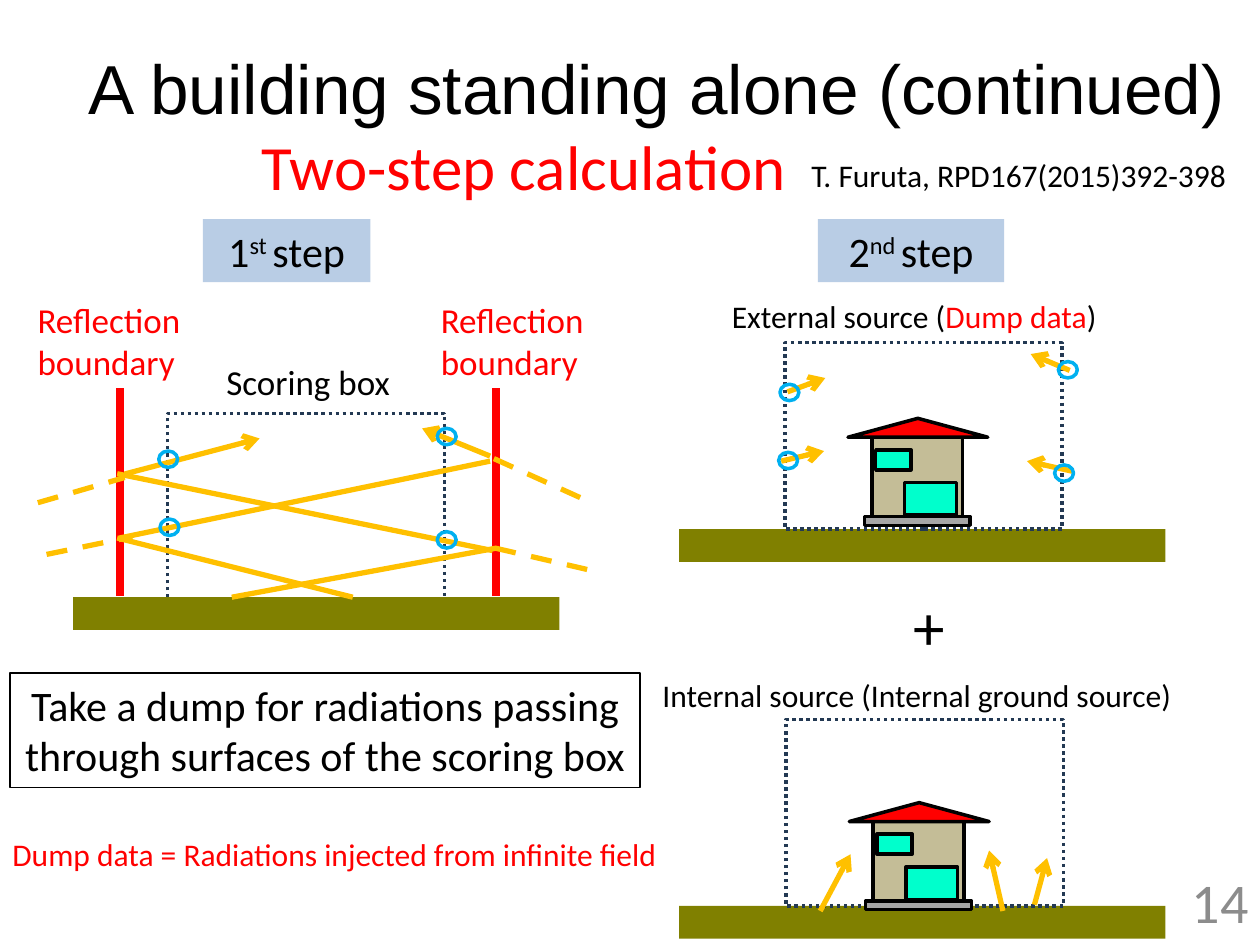
import pptx
import pptx.util
import pptx.dml.color
import pptx.enum.dml
import pptx.enum.shapes
import pptx.enum.text
import pptx.oxml

PX = 9144
SHAPE = pptx.enum.shapes.MSO_SHAPE
DASH = pptx.enum.dml.MSO_LINE
ALIGN = pptx.enum.text.PP_ALIGN
ANCHOR = pptx.enum.text.MSO_ANCHOR
NS = 'xmlns:a="http://schemas.openxmlformats.org/drawingml/2006/main"'

BLACK, RED, RAY, RING = "000000", "FF0000", "FFC000", "00B0F0"
SOIL, NAVY, PALE = "808000", "233953", "B9CDE5"

BOX_SIZE, GROUND_SIZE, RING_SIZE = (220, 148), (386, 26), (15, 13)
STEP1_BOX, STEP1_GROUND = (133, 328), (58, 474)
STEP2_SCENES = [
    {"ground": (539, 420), "box": (623, 272), "house": (673, 332)},
    {"ground": (539, 719), "box": (624, 571), "house": (674, 637)},
]
HOUSE = [
    (SHAPE.RECTANGLE, (19, 15, 72, 63), "C4BD97"),
    (SHAPE.ISOSCELES_TRIANGLE, (0, 0, 111, 15), RED),
    (SHAPE.RECTANGLE, (22, 25, 28, 16), "00FFCC"),
    (SHAPE.RECTANGLE, (45, 51, 41, 26), "00FFCC"),
    (SHAPE.RECTANGLE, (13, 78, 84, 7), "A6A6A6"),
]
BOUNDARIES = [(95, 308, 95, 473), (394, 308, 394, 473)]
STEP1_ARROWS = [(389, 362, 335, 340), (96, 377, 206, 348)]
STEP1_RAYS = [(184, 474, 394, 435), (93, 376, 391, 437), (93, 427, 280, 474), (95, 427, 389, 366)]
OUTER_RAYS = [(30, 399, 99, 379), (37, 440, 105, 426), (393, 435, 466, 452), (392, 364, 465, 397)]
STEP2_ARROWS = [
    (620, 366, 654, 358), (625, 311, 655, 300), (849, 294, 818, 281), (851, 374, 815, 366),
    (651, 723, 675, 678), (796, 723, 785, 675), (821, 718, 831, 681),
]
RINGS = [(347, 340), (126, 358), (347, 422), (127, 412),
         (840, 287), (619, 305), (837, 369), (618, 359)]

TEXTS = [
    {"at": (50, 6, 943, 125), "runs": [("A building standing alone (continued)", {})],
     "size": 39.6, "font": "Arial", "align": ALIGN.CENTER, "anchor": ANCHOR.MIDDLE, "wrap": True},
    {"at": (198, 96, 445, 71), "runs": [("Two-step calculation", {"color": RED})], "size": 36},
    {"at": (634, 119, 359, 40), "runs": [("T. Furuta, RPD167(2015)392-398", {})], "size": 18},
    {"at": (161, 174, 133, 50), "runs": [("1", {}), ("st ", {"raised": True}), ("step", {})],
     "size": 24, "align": ALIGN.CENTER, "fill": PALE},
    {"at": (649, 174, 148, 50), "runs": [("2", {}), ("nd ", {"raised": True}), ("step", {})],
     "size": 24, "align": ALIGN.CENTER, "fill": PALE},
    {"at": (20, 232, 147, 77), "runs": [("Reflection boundary", {"color": RED})],
     "size": 20, "wrap": True},
    {"at": (340, 232, 147, 77), "runs": [("Reflection boundary", {"color": RED})],
     "size": 20, "wrap": True},
    {"at": (147, 281, 195, 44), "runs": [("Scoring box", {})], "size": 20, "align": ALIGN.CENTER},
    {"at": (8, 534, 500, 91),
     "runs": [("Take a dump for radiations passing through surfaces of the scoring box", {})],
     "size": 24, "align": ALIGN.CENTER, "line": BLACK, "wrap": True},
    {"at": (0, 658, 535, 40),
     "runs": [("Dump data = Radiations injected from infinite field", {"color": RED})], "size": 18},
    {"at": (571, 231, 323, 40),
     "runs": [("External source (", {}), ("Dump data", {"color": RED}), (")", {})], "size": 18},
    {"at": (715, 461, 50, 71), "runs": [("+", {})], "size": 36},
    {"at": (516, 532, 433, 40), "runs": [("Internal source (Internal ground source)", {})], "size": 18},
    {"at": (768, 695, 233, 40), "runs": [("14", {"color": "8C8C8C"})],
     "size": 32, "align": ALIGN.RIGHT, "anchor": ANCHOR.MIDDLE},
]


def rgb(value):
    return pptx.dml.color.RGBColor.from_string(value)


def emu(values):
    return [v * PX for v in values]


def paint(sp, fill=None, line=None, width=2.0, dash=None):
    if fill:
        sp.fill.solid()
        sp.fill.fore_color.rgb = rgb(fill)
    else:
        sp.fill.background()
    if line:
        sp.line.color.rgb = rgb(line)
        sp.line.width = pptx.util.Pt(width)
        if dash:
            sp.line.dash_style = dash
    else:
        sp.line.fill.background()


def add_shape(shapes, kind, at, **style):
    sp = shapes.add_shape(kind, *emu(at))
    sp.shadow.inherit = False
    paint(sp, **style)


def add_lines(shapes, ends, color=RAY, width=3, dash=None, arrow=False):
    for end in ends:
        c = shapes.add_connector(pptx.enum.shapes.MSO_CONNECTOR.STRAIGHT, *emu(end))
        c.line.color.rgb = rgb(color)
        c.line.width = pptx.util.Pt(width)
        if dash:
            c.line.dash_style = dash
        if arrow:
            c.line._get_or_add_ln().append(pptx.oxml.parse_xml(f'<a:tailEnd {NS} type="arrow"/>'))
        c._element.spPr.append(pptx.oxml.parse_xml(f"<a:effectLst {NS}/>"))


def add_scoring_box(shapes, pos):
    add_shape(shapes, SHAPE.RECTANGLE, pos + BOX_SIZE, line=NAVY, dash=DASH.ROUND_DOT)


def add_ground(shapes, pos):
    add_shape(shapes, SHAPE.RECTANGLE, pos + GROUND_SIZE, fill=SOIL)


def add_house(shapes, pos):
    group = shapes.add_group_shape()
    for kind, (x, y, w, h), fill in HOUSE:
        add_shape(group.shapes, kind, (pos[0] + x, pos[1] + y, w, h), fill=fill, line=BLACK)


def add_text(shapes, item):
    sp = shapes.add_textbox(*emu(item["at"]))
    paint(sp, item.get("fill"), item.get("line"), 0.75)
    tf = sp.text_frame
    frame = {"word_wrap": item.get("wrap", False),
             "vertical_anchor": item.get("anchor", ANCHOR.TOP)}
    for name, value in frame.items():
        setattr(tf, name, value)
    p = tf.paragraphs[0]
    p.alignment = item.get("align", ALIGN.LEFT)
    for text, look in item["runs"]:
        r = p.add_run()
        r.text = text
        font = {"name": item.get("font", "Calibri"), "size": pptx.util.Pt(item["size"])}
        for name, value in font.items():
            setattr(r.font, name, value)
        r.font.color.rgb = rgb(look.get("color", BLACK))
        if look.get("raised"):
            r._r.get_or_add_rPr().set("baseline", "30000")


def main():
    prs = pptx.Presentation()
    prs.slide_width, prs.slide_height = emu((1000, 750))
    s = prs.slides.add_slide(prs.slide_layouts[6])
    shapes = s.shapes

    add_scoring_box(shapes, STEP1_BOX)
    add_lines(shapes, STEP1_ARROWS, arrow=True)
    add_ground(shapes, STEP1_GROUND)
    add_lines(shapes, BOUNDARIES, RED, 4.5)
    add_lines(shapes, STEP1_RAYS)
    add_lines(shapes, OUTER_RAYS, dash=DASH.DASH)

    for scene in STEP2_SCENES:
        add_ground(shapes, scene["ground"])
        add_scoring_box(shapes, scene["box"])
        add_house(shapes, scene["house"])
    add_lines(shapes, STEP2_ARROWS, arrow=True)

    for pos in RINGS:
        add_shape(shapes, SHAPE.OVAL, pos + RING_SIZE, line=RING)
    for item in TEXTS:
        add_text(shapes, item)

    prs.save("out.pptx")


if __name__ == "__main__":
    main()
